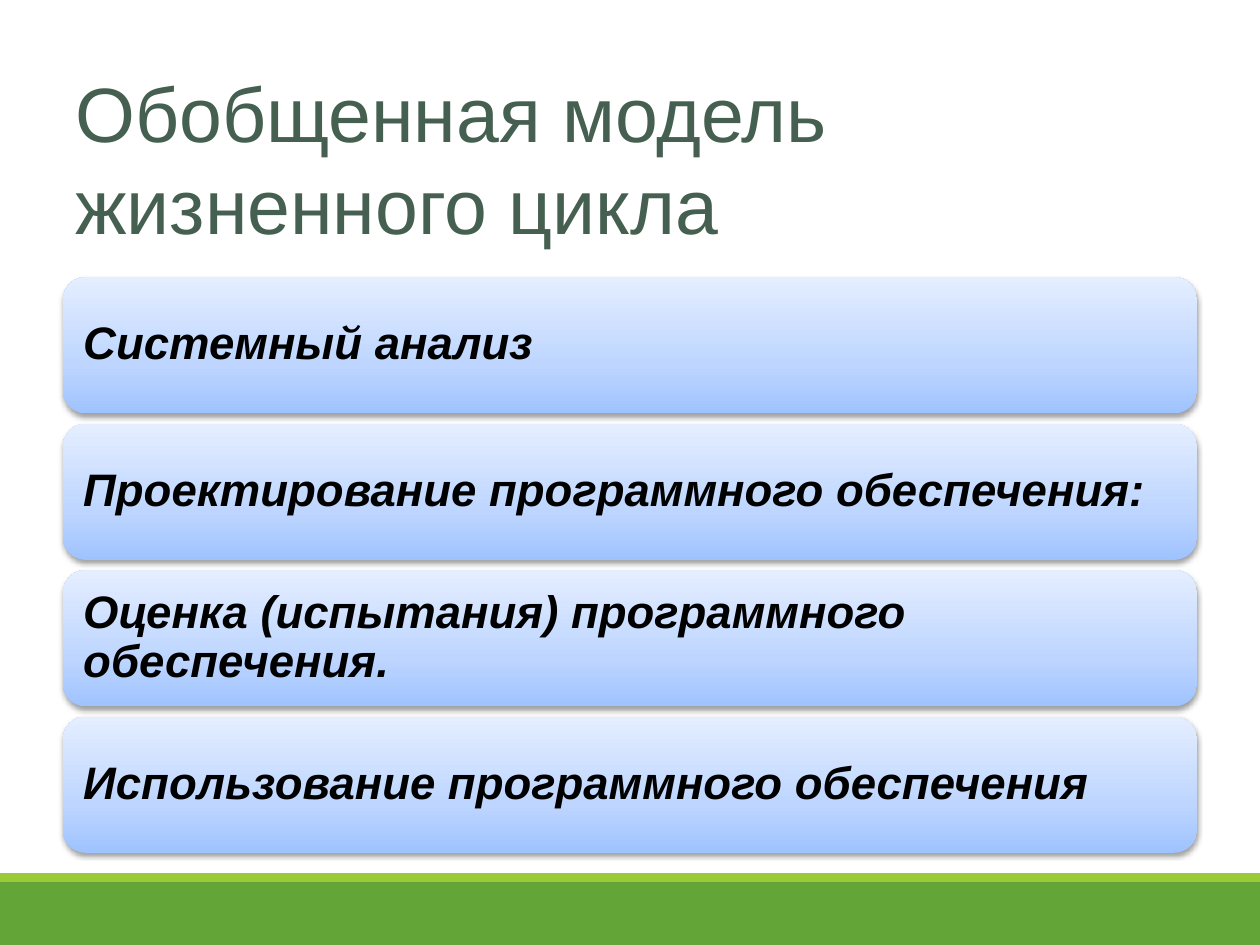
import copy

import pptx
import pptx.dml.color
import pptx.enum.shapes
import pptx.enum.text
import pptx.oxml.ns
import pptx.util
from lxml import etree

Pt = pptx.util.Pt
qn = pptx.oxml.ns.qn
SHAPE = pptx.enum.shapes.MSO_SHAPE

COLORS = {
    "base": "63A537",
    "edge": "99CB38",
    "title": "455F51",
    "text": "000000",
    "shadow": "000000",
    "low": "9FC3FF",
    "mid": "BDD5FF",
    "high": "E4EEFF",
}
STAGES = [
    "Системный анализ",
    "Проектирование программного обеспечения:",
    "Оценка (испытания) программного обеспечения.",
    "Использование программного обеспечения",
]
TOP, PITCH = 158.4, 83.7


def color(name):
    return pptx.dml.color.RGBColor.from_string(COLORS[name])


def write(shape, text, size, tint, bold=False, italic=False, spacing=1.0,
          inset=(7.2, 3.6)):
    """Put left-aligned, vertically centred text into a shape."""
    frame = shape.text_frame
    frame.word_wrap = True
    frame.vertical_anchor = pptx.enum.text.MSO_ANCHOR.MIDDLE
    frame.margin_left = frame.margin_right = Pt(inset[0])
    frame.margin_top = frame.margin_bottom = Pt(inset[1])
    para = frame.paragraphs[0]
    para.alignment = pptx.enum.text.PP_ALIGN.LEFT
    para.line_spacing = spacing
    run = para.add_run()
    run.text = text
    font = run.font
    font.name, font.size = "Arial", Pt(size)
    font.bold, font.italic = bold, italic
    font.color.rgb = color(tint)


def add_box(slide, kind, left, top, width, height):
    """Add a preset shape with no outline and no shadow."""
    box = slide.shapes.add_shape(kind, Pt(left), Pt(top), Pt(width), Pt(height))
    box.line.fill.background()
    box.shadow.inherit = False
    return box


def add_bar(slide, top, height, tint):
    bar = add_box(slide, SHAPE.RECTANGLE, 0, top, 720, height)
    bar.fill.solid()
    bar.fill.fore_color.rgb = color(tint)


def shade(shape):
    """Fill with a gradient that gets lighter from bottom to top."""
    fill = shape.fill
    fill.gradient()
    fill.gradient_angle = 90
    stops = shape.element.spPr.find(".//" + qn("a:gsLst"))
    stops.insert(1, copy.deepcopy(stops[0]))
    marks = [(0, "low"), (0.35, "mid"), (1, "high")]
    for stop, (place, tint) in zip(fill.gradient_stops, marks):
        stop.position = place
        stop.color.rgb = color(tint)


def drop_shadow(shape):
    effects = shape.element.spPr.find(qn("a:effectLst"))
    outer = etree.SubElement(
        effects, qn("a:outerShdw"), blurRad=str(Pt(3.1)), dist=str(Pt(1.6)),
        dir="5400000", rotWithShape="0")
    tint = etree.SubElement(outer, qn("a:srgbClr"), val=COLORS["shadow"])
    etree.SubElement(tint, qn("a:alpha"), val="38000")


def add_stage(slide, top, text):
    card = add_box(slide, SHAPE.ROUNDED_RECTANGLE, 36, top, 648, 77.8)
    card.adjustments[0] = 0.167
    shade(card)
    drop_shadow(card)
    write(card, text, 26, "text", bold=True, italic=True, spacing=0.9,
          inset=(7.8, 11.5))


def add_title(slide, text):
    title = slide.shapes.add_textbox(Pt(36), Pt(36), Pt(648), Pt(108))
    write(title, text, 44, "title")


def main():
    deck = pptx.Presentation()
    deck.slide_width, deck.slide_height = Pt(720), Pt(540)
    slide = deck.slides.add_slide(deck.slide_layouts[6])
    add_bar(slide, 504, 36, "base")
    add_bar(slide, 499, 5, "edge")
    add_title(slide, "Обобщенная модель жизненного цикла")
    for row, text in enumerate(STAGES):
        add_stage(slide, TOP + row * PITCH, text)
    deck.save("out.pptx")


if __name__ == "__main__":
    main()
